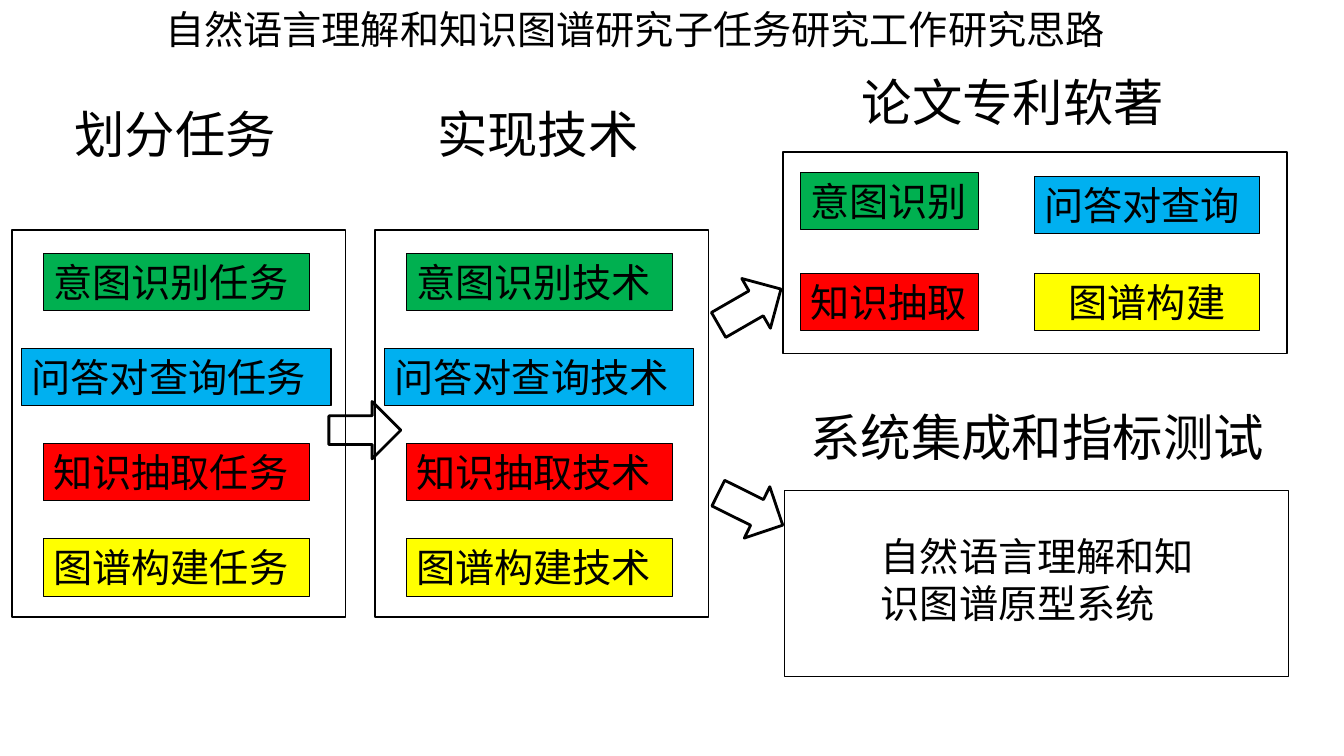
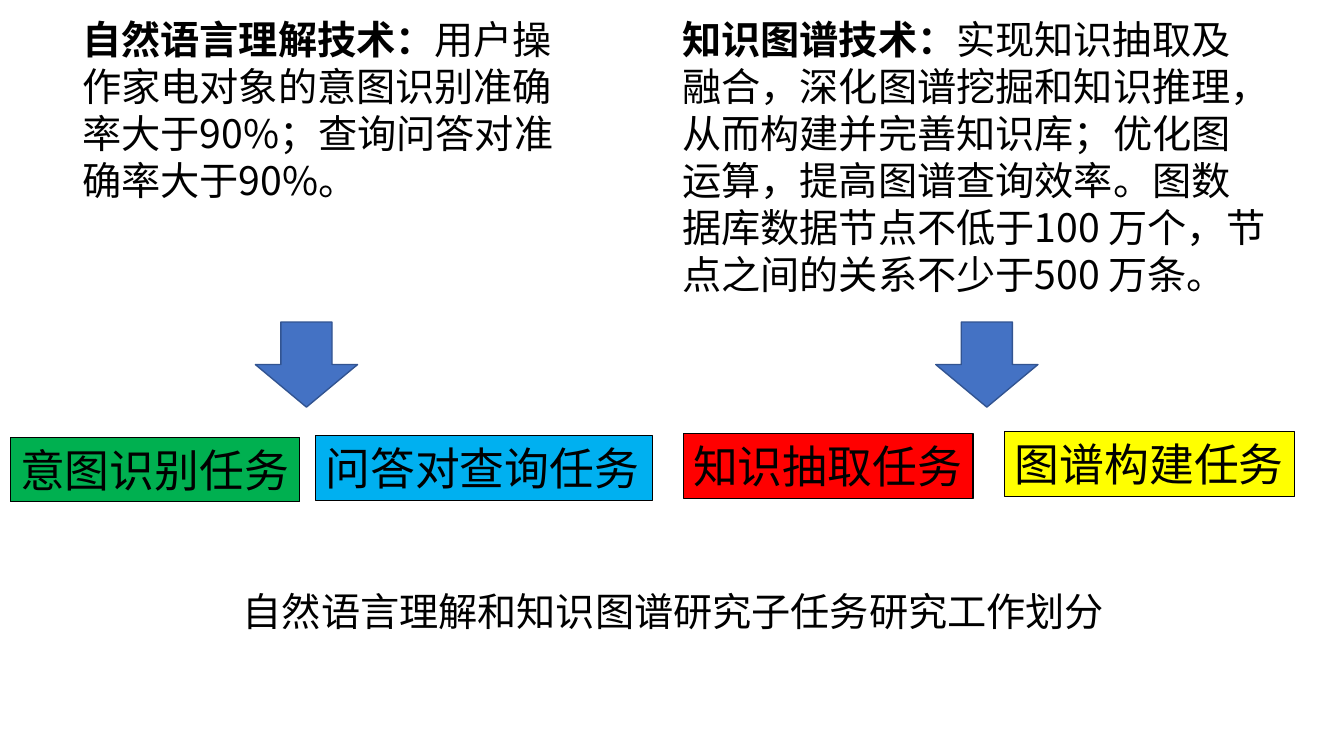
from dataclasses import dataclass

from lxml import etree
from pptx import Presentation
from pptx import util as u
from pptx.dml import color as dml
from pptx.enum import shapes, text
from pptx.oxml import ns

FONT = "Noto Sans CJK SC"
COLORS = {
    "ink": "000000",
    "green": "00B050",
    "blue": "00B0F0",
    "red": "FF0000",
    "yellow": "FFFF00",
    "arrow": "4472C4",
    "arrow_line": "325491",
}
BODY, TAG, HEADING = 28, 32, 36
CHIP_H, TAG_H, HEADING_H = 41, 46, 51


@dataclass(frozen=True)
class Box:
    left: float
    top: float
    width: float
    height: float

    def lengths(self) -> list:
        return [u.Pt(v) for v in (self.left, self.top, self.width, self.height)]


@dataclass(frozen=True)
class Task:
    name: str
    color: str


@dataclass(frozen=True)
class Stage:
    heading: str
    suffix: str
    left: float


@dataclass(frozen=True)
class Arrow:
    box: Box
    rotation: float = 0


@dataclass(frozen=True)
class Goal:
    lead: str
    detail: str
    box: Box
    arrow_left: float


TASKS = [
    Task("意图识别", "green"),
    Task("问答对查询", "blue"),
    Task("知识抽取", "red"),
    Task("图谱构建", "yellow"),
]
STAGES = [Stage("划分任务", "任务", 8.6), Stage("实现技术", "技术", 267.8)]
RESULT_BOXES = [
    Box(571.7, 123.1, 127, CHIP_H),
    Box(738.7, 126, 161, CHIP_H),
    Box(571.7, 195.1, 127, CHIP_H),
    Box(738.7, 195.1, 161, CHIP_H),
]
FLOW_ARROWS = [
    Arrow(Box(234.9, 286.8, 51.4, 41)),
    Arrow(Box(509.9, 198.8, 51.4, 41), 330.1),
    Arrow(Box(510.4, 343.2, 51.4, 41), 26.4),
]
TAG_BOXES = [
    Box(7.2, 312.5, 207, TAG_H),
    Box(225.4, 311.2, 241, TAG_H),
    Box(488, 309.8, 207, TAG_H),
    Box(717.8, 308.5, 207, TAG_H),
]
GOALS = [
    Goal("自然语言理解技术：",
         "用户操作家电对象的意图识别准确率大于90%；查询问答对准确率大于90%。",
         Box(51.8, 7.2, 365, 165), 182.4),
    Goal("知识图谱技术：",
         "实现知识抽取及融合，深化图谱挖掘和知识推理，从而构建并完善知识库；"
         "优化图运算，提高图谱查询效率。图数据库数据节点不低于100 万个，"
         "节点之间的关系不少于500 万条。",
         Box(480.4, 7.2, 432, 232.6), 668.4),
]


def rgb(name: str) -> dml.RGBColor:
    return dml.RGBColor.from_string(COLORS[name])


def write(sp, content: str, size: float, align=text.PP_ALIGN.LEFT, lead: str = "") -> None:
    tf = sp.text_frame
    tf.word_wrap = True
    tf.auto_size = text.MSO_AUTO_SIZE.SHAPE_TO_FIT_TEXT
    tf.vertical_anchor = text.MSO_ANCHOR.TOP
    p = tf.paragraphs[0]
    p.alignment = align
    p.font.size = u.Pt(size)
    p.font.color.rgb = rgb("ink")
    p.font.name = FONT
    ea = etree.SubElement(p._p.pPr.find(ns.qn("a:defRPr")), ns.qn("a:ea"))
    ea.set("typeface", FONT)
    if lead:
        r = p.add_run()
        r.text = lead
        r.font.bold = True
    p.add_run().text = content


def add_label(s, box: Box, content: str, size: float = BODY, lead: str = "") -> None:
    write(s.shapes.add_textbox(*box.lengths()), content, size, lead=lead)


def add_figure(s, kind, box: Box, fill: str = "", line: str = "ink", weight: float = 1):
    sp = s.shapes.add_shape(kind, *box.lengths())
    sp.shadow.inherit = False
    if fill:
        sp.fill.solid()
        sp.fill.fore_color.rgb = rgb(fill)
    else:
        sp.fill.background()
    sp.line.color.rgb = rgb(line)
    sp.line.width = u.Pt(weight)
    return sp


def add_chip(s, box: Box, content: str, fill: str, size: float = BODY,
             align=text.PP_ALIGN.LEFT) -> None:
    sp = add_figure(s, shapes.MSO_SHAPE.RECTANGLE, box, fill, weight=0.75)
    write(sp, content, size, align)


def add_frame(s, box: Box) -> None:
    add_figure(s, shapes.MSO_SHAPE.RECTANGLE, box)


def add_stage(s, stage: Stage) -> None:
    for i, task in enumerate(TASKS):
        width = 221 if len(task.name) > 4 else 190
        left = stage.left + 117.4 - width / 2
        add_chip(s, Box(left, 180.8 + 68 * i, width, CHIP_H),
                 task.name + stage.suffix, task.color)
    add_frame(s, Box(stage.left, 164.2, 238.3, 276.5))
    add_label(s, Box(stage.left + 37.4, 70.2, 175, HEADING_H), stage.heading, HEADING)


def build_approach(s) -> None:
    add_label(s, Box(110.9, 0, 768, CHIP_H),
              "自然语言理解和知识图谱研究子任务研究工作研究思路")
    for stage in STAGES:
        add_stage(s, stage)

    for task, box in zip(TASKS, RESULT_BOXES):
        centred = task is TASKS[-1]
        align = text.PP_ALIGN.CENTER if centred else text.PP_ALIGN.LEFT
        add_chip(s, box, task.name, task.color, align=align)
    add_frame(s, Box(559.4, 108.7, 360, 144))
    add_label(s, Box(608.4, 47.5, 263.5, HEADING_H), "论文专利软著", HEADING)

    add_frame(s, Box(560.2, 350.6, 360, 132.5))
    add_label(s, Box(571.7, 286.6, 347.8, HEADING_H), "系统集成和指标测试", HEADING)
    for arrow in FLOW_ARROWS:
        sp = add_figure(s, shapes.MSO_SHAPE.RIGHT_ARROW, arrow.box, weight=2)
        sp.rotation = arrow.rotation
    add_label(s, Box(622.1, 376.6, 250.6, 75), "自然语言理解和知识图谱原型系统")


def build_division(s) -> None:
    add_label(s, Box(166.3, 416.2, 768, CHIP_H),
              "自然语言理解和知识图谱研究子任务研究工作划分")
    for goal in GOALS:
        add_label(s, goal.box, goal.detail, lead=goal.lead)
        add_figure(s, shapes.MSO_SHAPE.DOWN_ARROW, Box(goal.arrow_left, 230, 73, 60.8),
                   "arrow", "arrow_line")
    for task, box in zip(TASKS, TAG_BOXES):
        add_chip(s, box, task.name + "任务", task.color, TAG)


def main() -> None:
    prs = Presentation()
    prs.slide_width, prs.slide_height = u.Pt(960), u.Pt(540)
    for build in (build_approach, build_division):
        build(prs.slides.add_slide(prs.slide_layouts[6]))
    prs.save("out.pptx")


if __name__ == "__main__":
    main()
